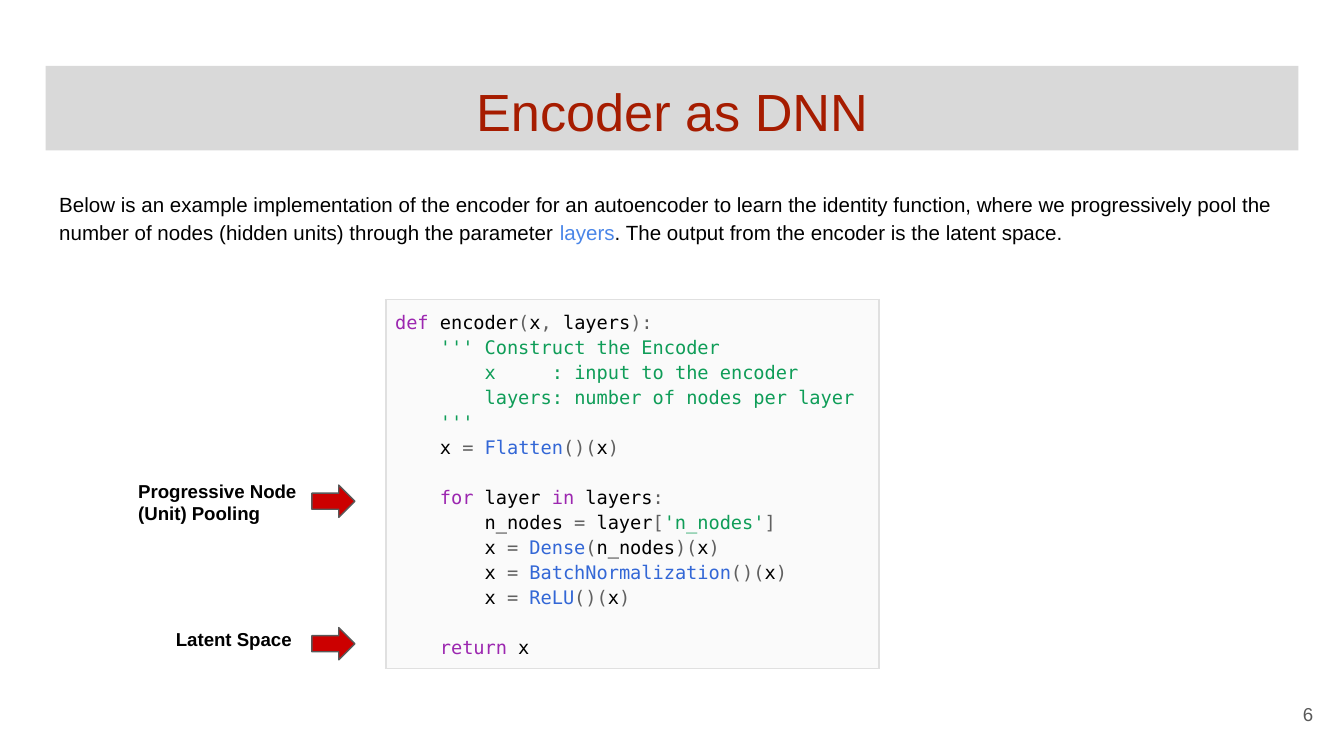
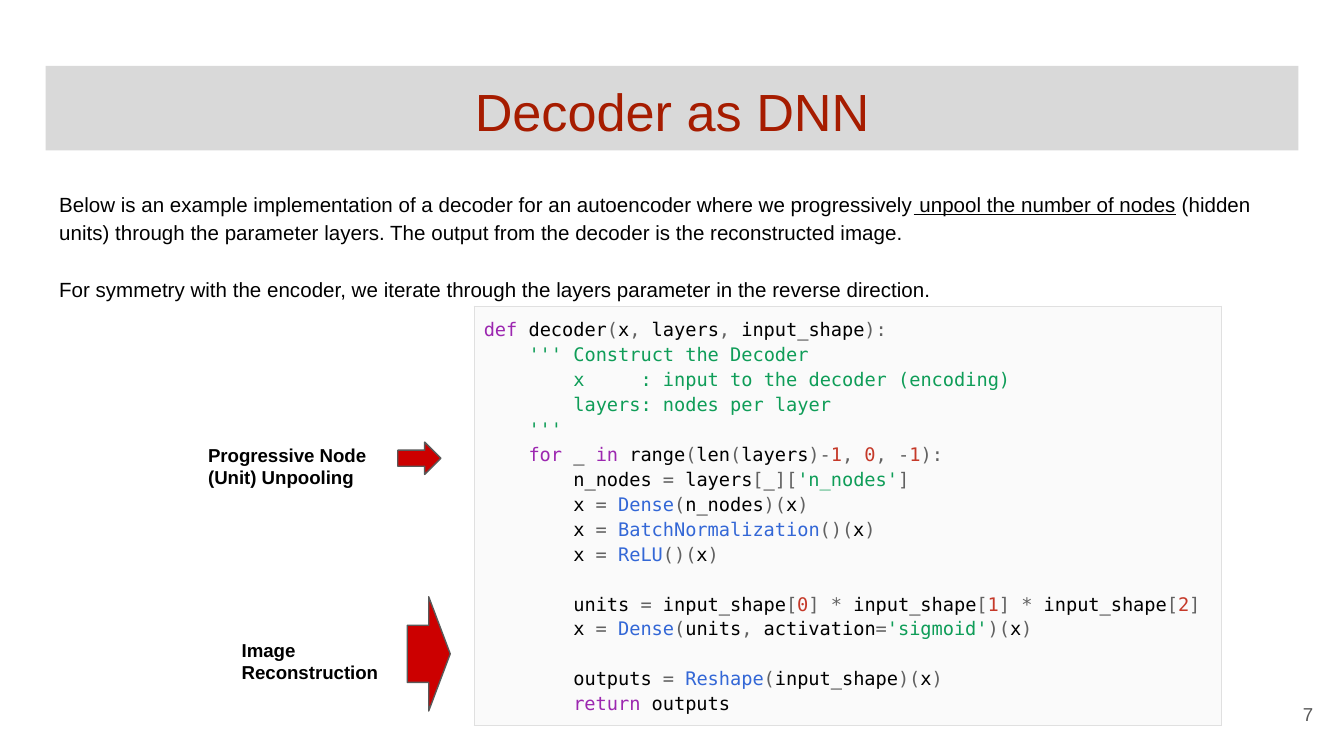
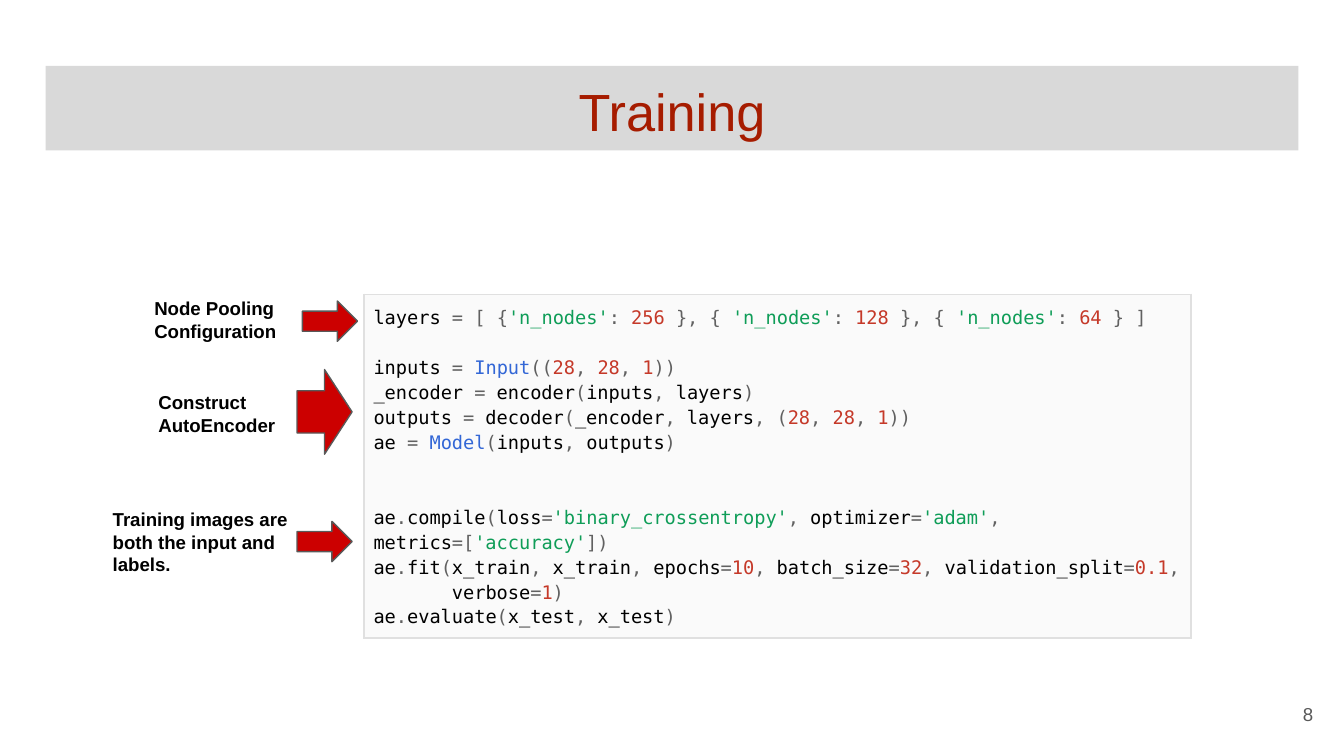
from itertools import groupby

import pptx
import pptx.dml.color
import pptx.enum.shapes
import pptx.enum.text
import pptx.oxml
import pptx.oxml.ns
import pptx.util

Inches, Pt = pptx.util.Inches, pptx.util.Pt
ALIGN, ANCHOR = pptx.enum.text.PP_ALIGN, pptx.enum.text.MSO_ANCHOR

SANS, MONO = "Arial", "DejaVu Sans Mono"
BLACK, GREY, LINK = "000000", "595959", "4A86E8"
BAND, TITLE, ARROW = "D9D9D9", "A61C00", "CC0000"
PANEL, PANEL_EDGE = "FAFAFA", "E0E0E0"
KEYWORD, CLASS, NUMBER, STRING, MARK = "9C27B0", "3367D6", "C53929", "0F9D58", "616161"
KEYWORDS = {"def", "for", "in", "return"}

WIDTH = 10
HEIGHT = WIDTH * 9 / 16
MARGIN = 0.34
FULL = WIDTH - 2 * MARGIN
INSET, CELL_INSET = 0.1, 0.07
LEADING = 1.15
CODE_LINE = 13.4  # points from one code line to the next
INTRO_LINE = 15.2
FIRST_NUMBER = 6

ENCODER = """\
def encoder(x, layers):
    ''' Construct the Encoder
        x     : input to the encoder
        layers: number of nodes per layer
    '''
    x = Flatten()(x)

    for layer in layers:
        n_nodes = layer['n_nodes']
        x = Dense(n_nodes)(x)
        x = BatchNormalization()(x)
        x = ReLU()(x)

    return x"""

DECODER = """\
def decoder(x, layers, input_shape):
    ''' Construct the Decoder
        x     : input to the decoder (encoding)
        layers: nodes per layer
    '''
    for _ in range(len(layers)-1, 0, -1):
        n_nodes = layers[_]['n_nodes']
        x = Dense(n_nodes)(x)
        x = BatchNormalization()(x)
        x = ReLU()(x)

        units = input_shape[0] * input_shape[1] * input_shape[2]
        x = Dense(units, activation='sigmoid')(x)

        outputs = Reshape(input_shape)(x)
        return outputs"""

TRAINING = """\
layers = [ {'n_nodes': 256 }, { 'n_nodes': 128 }, { 'n_nodes': 64 } ]

inputs = Input((28, 28, 1))
_encoder = encoder(inputs, layers)
outputs = decoder(_encoder, layers, (28, 28, 1))
ae = Model(inputs, outputs)


ae.compile(loss='binary_crossentropy', optimizer='adam', metrics=['accuracy'])
ae.fit(x_train, x_train, epochs=10, batch_size=32, validation_split=0.1,
       verbose=1)
ae.evaluate(x_test, x_test)"""

# intro: paragraphs of (text, colour, underlined); code_at: left, top, width
# labels: text, its box, box of its arrow
SLIDES = [
    {
        "title": "Encoder as DNN",
        "intro": [[
            ("Below is an example implementation of the encoder for an autoencoder to learn the "
             "identity function, where we progressively pool the number of nodes (hidden units) "
             "through the parameter ", BLACK, False),
            ("layers", LINK, False),
            (". The output from the encoder is the latent space.", BLACK, False),
        ]],
        "code": ENCODER,
        "code_at": (2.87, 2.23, 3.67),
        "labels": [
            ("Progressive Node (Unit) Pooling", (0.93, 3.47, 1.43, 0.43), (2.32, 3.61, 0.32, 0.24)),
            ("Latent Space", (1.21, 4.57, 1.11, 0.43), (2.32, 4.67, 0.32, 0.24)),
        ],
    },
    {
        "title": "Decoder as DNN",
        "intro": [
            [("Below is an example implementation of a decoder for an autoencoder where we "
              "progressively", BLACK, False),
             (" unpool the number of nodes", BLACK, True),
             (" (hidden units) through the parameter layers. The output from the decoder is the "
              "reconstructed image.", BLACK, False)],
            [("For symmetry with the encoder, we iterate through the layers parameter in the "
              "reverse direction.", BLACK, False)],
        ],
        "code": DECODER,
        "code_at": (3.53, 2.28, 5.56),
        "labels": [
            ("Progressive Node (Unit) Unpooling", (1.45, 3.2, 1.43, 0.43), (2.96, 3.29, 0.32, 0.24)),
            ("Image\vReconstruction", (1.7, 4.65, 1.26, 0.43), (3.03, 4.44, 0.32, 0.85)),
        ],
    },
    {
        "title": "Training",
        "intro": [],
        "code": TRAINING,
        "code_at": (2.71, 2.19, 6.15),
        "labels": [
            ("Node Pooling Configuration", (1.05, 2.11, 1.2, 0.43), (2.25, 2.24, 0.41, 0.3)),
            ("Construct\nAutoEncoder", (1.08, 2.81, 1.15, 0.43), (2.21, 2.75, 0.41, 0.63)),
            ("Training images are both the input and labels.",
             (0.74, 3.68, 1.52, 0.67), (2.21, 3.88, 0.41, 0.3)),
        ],
    },
]


def rgb(value):
    return pptx.dml.color.RGBColor.from_string(value)


def paint(fill, colour):
    fill.solid()
    fill.fore_color.rgb = rgb(colour)


def style(r, size, colour=BLACK, font=SANS, bold=None, underline=None):
    r.font.size, r.font.name = Pt(size), font
    r.font.bold, r.font.underline = bold, underline
    r.font.color.rgb = rgb(colour)


def add_run(p, text, *args, **kwargs):
    r = p.add_run()
    r.text = text
    style(r, *args, **kwargs)


def place(sp, box):
    sp.left, sp.top, sp.width, sp.height = map(Inches, box)


def frame(sp, anchor=ANCHOR.TOP):
    """Give a shape's text frame the shared insets and return it."""
    tf = sp.text_frame
    tf.word_wrap = True
    tf.auto_size = pptx.enum.text.MSO_AUTO_SIZE.NONE
    tf.vertical_anchor = anchor
    tf.margin_left = tf.margin_right = tf.margin_top = tf.margin_bottom = Inches(INSET)
    return tf


def add_text(slide, text, box, colour=BLACK, bold=None, align=ALIGN.LEFT, anchor=ANCHOR.TOP):
    tf = frame(slide.shapes.add_textbox(*map(Inches, box)), anchor)
    tf.text = text
    for p in tf.paragraphs:
        p.alignment = align
        for r in p.runs:
            style(r, 10, colour, bold=bold)


def add_title(slide, text):
    sp = slide.shapes.title
    place(sp, (MARGIN, 0.49, FULL, 0.63))
    paint(sp.fill, BAND)
    tf = frame(sp)
    tf.text = text
    p = tf.paragraphs[0]
    p.alignment = ALIGN.CENTER
    style(p.runs[0], 28, TITLE)


def add_intro(slide, paragraphs):
    sp = slide.placeholders[1]
    place(sp, (MARGIN, 1.3, FULL, 0.79))
    tf = frame(sp)
    for i, parts in enumerate(paragraphs):
        p = tf.add_paragraph() if i else tf.paragraphs[0]
        p.line_spacing = LEADING
        p.space_before = Pt(INTRO_LINE if i else 0)
        pPr = p._p.get_or_add_pPr()
        pPr.set("marL", "0")
        pPr.set("indent", "0")
        pPr.append(pptx.oxml.parse_xml(f'<a:buNone {pptx.oxml.ns.nsdecls("a")}/>'))
        for text, colour, underline in parts:
            add_run(p, text, 11, colour, underline=underline)


def char_kind(ch):
    if ch.isspace():
        return "space"
    return "word" if ch.isalnum() or ch in "_." else "mark"


def word_colour(word):
    if word in KEYWORDS:
        return KEYWORD
    if word.replace(".", "").isdigit():
        return NUMBER
    if word == ".":
        return MARK
    return CLASS if word[0].isupper() else BLACK


def tokens(line):
    """Yield (colour, text) for each token of a code line."""
    for i, part in enumerate(line.split("'")):
        if i % 2:
            yield STRING, f"'{part}'"
            continue
        for kind, chars in groupby(part, char_kind):
            text = "".join(chars)
            if kind != "word":
                yield (MARK if kind == "mark" else BLACK), text
            elif word_colour(text) == NUMBER:
                yield NUMBER, text
            else:
                for piece in filter(None, text.partition(".")):
                    yield word_colour(piece), piece


def add_code_line(p, line, in_docstring):
    parts = [(STRING, line)] if in_docstring else tokens(line)
    for colour, run in groupby(parts, lambda part: part[0]):
        add_run(p, "".join(text for _, text in run), 10, colour, MONO)


def add_code(slide, code, left, top, width):
    lines = code.splitlines()
    height = len(lines) * CODE_LINE / 72 + 2 * CELL_INSET
    table = slide.shapes.add_table(1, 1, *map(Inches, (left, top, width, height))).table
    table.first_row = table.horz_banding = False
    cell = table.cell(0, 0)
    cell.margin_left = cell.margin_right = Inches(CELL_INSET)
    cell.margin_top = cell.margin_bottom = Inches(CELL_INSET)
    tcPr = cell._tc.get_or_add_tcPr()
    for side in "LRTB":
        tcPr.append(pptx.oxml.parse_xml(
            f'<a:ln{side} {pptx.oxml.ns.nsdecls("a")} w="{Pt(1)}"><a:solidFill>'
            f'<a:srgbClr val="{PANEL_EDGE}"/></a:solidFill></a:ln{side}>'))
    paint(cell.fill, PANEL)

    tf = cell.text_frame
    tf.word_wrap = True
    p, blanks, in_docstring = tf.paragraphs[0], 0, False
    for i, line in enumerate(lines):
        if not line:
            blanks += 1
            continue
        if i:
            p = tf.add_paragraph()
        p.line_spacing = LEADING
        p.space_before = Pt(blanks * CODE_LINE)
        fence = "'''" in line
        add_code_line(p, line, fence or in_docstring)
        in_docstring ^= fence
        blanks = 0


def add_arrow(slide, box):
    sp = slide.shapes.add_shape(pptx.enum.shapes.MSO_SHAPE.RIGHT_ARROW, *map(Inches, box))
    sp.shadow.inherit = False
    paint(sp.fill, ARROW)
    sp.line.color.rgb = rgb(GREY)
    sp.line.width = Pt(0.75)


def main():
    prs = pptx.Presentation()
    prs.slide_width, prs.slide_height = Inches(WIDTH), Inches(HEIGHT)
    with_body, title_only = prs.slide_layouts[1], prs.slide_layouts[5]
    for number, content in enumerate(SLIDES, FIRST_NUMBER):
        slide = prs.slides.add_slide(with_body if content["intro"] else title_only)
        add_title(slide, content["title"])
        add_text(slide, str(number), (9.27, 5.1, 0.6, 0.43), GREY,
                 align=ALIGN.RIGHT, anchor=ANCHOR.MIDDLE)
        if content["intro"]:
            add_intro(slide, content["intro"])
        add_code(slide, content["code"], *content["code_at"])
        for text, box, arrow_box in content["labels"]:
            add_arrow(slide, arrow_box)
            add_text(slide, text, box, bold=True)
    prs.save("out.pptx")


if __name__ == "__main__":
    main()
